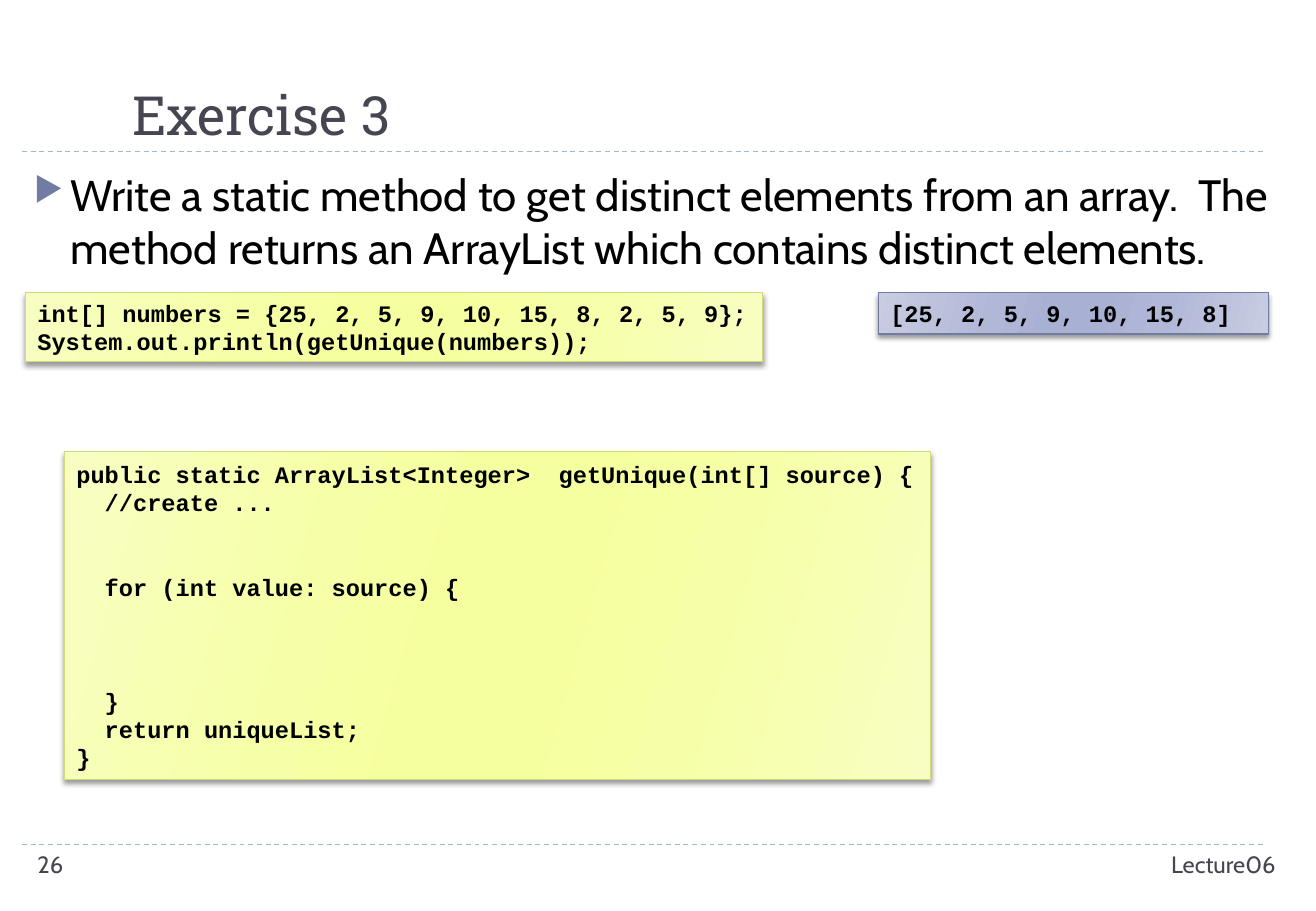
from lxml import etree
from pptx import Presentation
from pptx.dml.color import RGBColor
from pptx.enum.dml import MSO_LINE
from pptx.enum.shapes import MSO_CONNECTOR, MSO_SHAPE
from pptx.enum.text import MSO_ANCHOR, PP_ALIGN
from pptx.oxml import parse_xml
from pptx.oxml.ns import nsdecls, qn
from pptx.util import Pt

BLACK = RGBColor(0, 0, 0)
SLATE = RGBColor(0x46, 0x46, 0x53)
RULE_BLUE = RGBColor(0x9F, 0xB8, 0xCD)
INDIGO = RGBColor(0x72, 0x7C, 0xA3)
OLIVE = RGBColor(0xD2, 0xDA, 0x7A)

YELLOW_SHADES = ("F8FEC2", "F6FFA7", "F6FF9F")
LAVENDER_SHADES = ("C9CDE2", "B1B7D7", "A8B0D3")
GRADIENT_STOPS = ((0, 0), (30, 1), (45, 2), (55, 2), (73, 1), (100, 0))
GRADIENT_ANGLE = 16

PAGE_WIDTH, PAGE_HEIGHT = 780, 540
RULE_LEFT, RULE_RIGHT = 13, 750.3
RULE_TOPS = (500.4, 90)
CODE_LINE = 16.8

TITLE_FONT = {"name": "Roboto Slab", "size": Pt(32), "color": SLATE}
BODY_FONT = {"name": "Cabin", "size": Pt(26), "color": BLACK}
FOOTER_FONT = {"name": "Cabin", "size": Pt(14), "color": SLATE}
CODE_FONT = {"name": "Courier New", "size": Pt(14), "bold": True, "color": BLACK}

TASK = ("Write a static method to get distinct elements from an array.  "
        "The method returns an ArrayList which contains distinct elements.")

LABELS = [
    ("Exercise 3", (71.3, 12.2, 687.6, 77.8), TITLE_FONT, MSO_ANCHOR.BOTTOM, PP_ALIGN.LEFT),
    (TASK, (13, 95.8, 747.4, 401.8), BODY_FONT, MSO_ANCHOR.TOP, PP_ALIGN.LEFT),
    ("26", (15.1, 500.4, 169.2, 28.8), FOOTER_FONT, MSO_ANCHOR.TOP, PP_ALIGN.LEFT),
    ("Lecture06", (568.1, 500.4, 195.1, 28.8), FOOTER_FONT, MSO_ANCHOR.TOP, PP_ALIGN.RIGHT),
]

CODE_PANELS = [
    ((15.1, 173.5, 437, 41), YELLOW_SHADES, OLIVE, [
        ("int[] numbers = {25, 2, 5, 9, 10, 15, 8, 2, 5, 9};", 0),
        ("System.out.println(getUnique(numbers));", 0),
    ]),
    ((520.6, 173.5, 231.1, 24.5), LAVENDER_SHADES, INDIGO, [
        ("[25, 2, 5, 9, 10, 15, 8]", 0),
    ]),
    ((38.2, 267.8, 513.4, 194.4), YELLOW_SHADES, OLIVE, [
        ("public static ArrayList<Integer>  getUnique(int[] source) {", 0),
        ("  //create ...", 0),
        ("  for (int value: source) {", 2),
        ("  }", 3),
        ("  return uniqueList;", 0),
        ("}", 0),
    ]),
]


def write(para, text, style):
    span = para.add_run()
    span.text = text
    for name, value in style.items():
        if name == "color":
            span.font.color.rgb = value
        else:
            setattr(span.font, name, value)


def add_label(page, text, place, style, anchor, align):
    frame = page.shapes.add_textbox(*map(Pt, place)).text_frame
    frame.word_wrap = True
    frame.vertical_anchor = anchor
    para = frame.paragraphs[0]
    para.alignment = align
    write(para, text, style)
    return para


def add_bullet(para):
    settings = para._p.get_or_add_pPr()
    settings.set("marL", str(Pt(21.6)))
    settings.set("indent", str(-Pt(21.6)))
    color = etree.SubElement(settings, qn("a:buClr"))
    etree.SubElement(color, qn("a:srgbClr"), val=str(INDIGO))
    etree.SubElement(settings, qn("a:buSzPct"), val="76000")
    etree.SubElement(settings, qn("a:buChar"), char="▶")


def add_rule(page, top):
    rule = page.shapes.add_connector(
        MSO_CONNECTOR.STRAIGHT, Pt(RULE_LEFT), Pt(top), Pt(RULE_RIGHT), Pt(top))
    rule.line.color.rgb = RULE_BLUE
    rule.line.width = Pt(0.75)
    rule.line.dash_style = MSO_LINE.DASH
    etree.SubElement(rule._element.spPr, qn("a:effectLst"))


def add_gradient_and_shadow(panel, shades):
    stops = "".join(
        f'<a:gs pos="{position * 1000}"><a:srgbClr val="{shades[shade]}"/></a:gs>'
        for position, shade in GRADIENT_STOPS)
    gradient = parse_xml(
        f'<a:gradFill {nsdecls("a")} rotWithShape="1"><a:gsLst>{stops}</a:gsLst>'
        f'<a:lin ang="{GRADIENT_ANGLE * 60000}" scaled="0"/></a:gradFill>')
    shadow = parse_xml(
        f'<a:effectLst {nsdecls("a")}><a:outerShdw blurRad="{Pt(3)}" dist="{Pt(2)}" '
        'dir="5400000" rotWithShape="0"><a:srgbClr val="000000">'
        '<a:alpha val="40000"/></a:srgbClr></a:outerShdw></a:effectLst>')
    outline = panel._element.spPr.find(qn("a:ln"))
    outline.addprevious(gradient)
    outline.addnext(shadow)


def add_code_panel(page, place, shades, border, lines):
    panel = page.shapes.add_shape(MSO_SHAPE.RECTANGLE, *map(Pt, place))
    panel.line.color.rgb = border
    panel.line.width = Pt(0.75)
    add_gradient_and_shadow(panel, shades)
    frame = panel.text_frame
    frame.word_wrap = True
    frame.vertical_anchor = MSO_ANCHOR.MIDDLE
    for index, (text, gap_lines) in enumerate(lines):
        para = frame.add_paragraph() if index else frame.paragraphs[0]
        para.alignment = PP_ALIGN.LEFT
        if gap_lines:
            para.space_before = Pt(gap_lines * CODE_LINE)
        write(para, text, CODE_FONT)


def main():
    deck = Presentation()
    deck.slide_width, deck.slide_height = Pt(PAGE_WIDTH), Pt(PAGE_HEIGHT)
    page = deck.slides.add_slide(deck.slide_layouts[6])
    for top in RULE_TOPS:
        add_rule(page, top)
    for label in LABELS:
        para = add_label(page, *label)
        if label[0] == TASK:
            add_bullet(para)
    for panel in CODE_PANELS:
        add_code_panel(page, *panel)
    deck.save("out.pptx")


if __name__ == "__main__":
    main()
